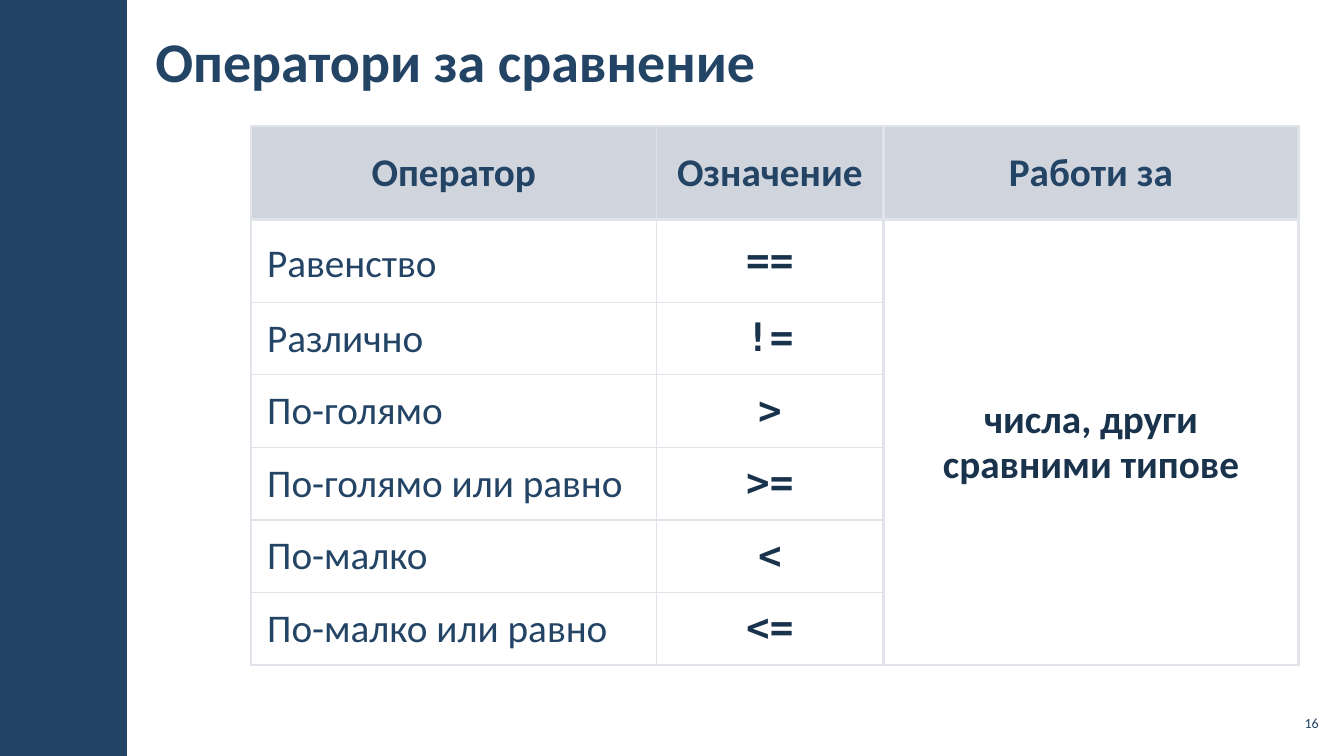
from lxml.etree import SubElement
from pptx import Presentation
from pptx.dml.color import RGBColor
from pptx.enum.shapes import MSO_SHAPE
from pptx.enum.text import MSO_ANCHOR, PP_ALIGN
from pptx.oxml import parse_xml
from pptx.oxml.ns import nsdecls, qn
from pptx.util import Inches, Pt

NAVY = RGBColor(0x23, 0x44, 0x65)
DARK = RGBColor(0x1A, 0x33, 0x4C)
GRAY = RGBColor(0xA3, 0xAB, 0xBC)
EDGE = RGBColor(0xE0, 0xE3, 0xE9)
SANS, MONO = "Calibri", "DejaVu Sans Mono"

COLS = [4.02, 2.25, 4.12]
ROWS = [0.93, 0.82] + [0.72] * 5
SIDES = [2.25, 1, 2.25, 2.25]
LEVELS = [2.25, 2.25] + [1] * 6
HEAD = ["Оператор", "Означение", "Работи за"]
SIGNS = [
    ("Равенство", "=="),
    ("Различно", "!="),
    ("По-голямо", ">"),
    ("По-голямо или равно", ">="),
    ("По-малко", "<"),
    ("По-малко или равно", "<="),
]
TYPES = "числа, други сравними типове"


def apply(target, values):
    for name, value in values.items():
        setattr(target, name, value)


def margins(side, top):
    return {
        "margin_left": Inches(side),
        "margin_right": Inches(side),
        "margin_top": Inches(top),
        "margin_bottom": Inches(top),
    }


class Page:
    base = {"name": SANS, "size": Pt(28), "bold": False}
    head = {"bold": True}
    sign = {"name": MONO, "bold": True}
    line = {"line_spacing": 0.95}
    mid = {"line_spacing": 0.95, "alignment": PP_ALIGN.CENTER}
    first = {"line_spacing": Pt(38), "space_before": Pt(6), "space_after": Pt(6)}

    def __init__(self, deck):
        self.slide = deck.slides.add_slide(deck.slide_layouts[6])
        self.shapes = self.slide.shapes

    def bar(self, box, color):
        shape = self.shapes.add_shape(MSO_SHAPE.RECTANGLE, *map(Inches, box))
        shape.shadow.inherit = False
        shape.fill.solid()
        shape.fill.fore_color.rgb = color
        shape.line.fill.background()

    def put(self, frame, text, font, para, color=NAVY):
        item = frame.paragraphs[0]
        apply(item, para)
        run = item.add_run()
        run.text = text
        apply(run.font, {**self.base, **font})
        run.font.color.rgb = color

    def label(self, box, text, font, para, inset):
        frame = self.shapes.add_textbox(*map(Inches, box)).text_frame
        apply(frame, {
            "word_wrap": True,
            "vertical_anchor": MSO_ANCHOR.MIDDLE,
            **margins(*inset),
        })
        self.put(frame, text, font, para)

    def grid(self, box):
        shape = self.shapes.add_table(len(ROWS), len(COLS), *map(Inches, box))
        table = shape.table
        apply(table, {"first_row": False, "horz_banding": False})
        for col, width in zip(table.columns, COLS):
            col.width = Inches(width)
        for row, height in zip(table.rows, ROWS):
            row.height = Inches(height)
        table.cell(1, 2).merge(table.cell(len(ROWS) - 1, 2))
        return table

    def edges(self, cell, widths):
        props = cell._tc.get_or_add_tcPr()
        for spot, (side, width) in enumerate(zip("LRTB", widths)):
            props.insert(spot, parse_xml(
                f'<a:ln{side} {nsdecls("a")} w="{Pt(width)}"><a:solidFill>'
                f'<a:srgbClr val="{EDGE}"/></a:solidFill></a:ln{side}>'
            ))

    def shade(self, cell, color):
        cell.fill.solid()
        cell.fill.fore_color.rgb = color
        tint = cell._tc.tcPr.find(".//" + qn("a:srgbClr"))
        SubElement(tint, qn("a:alpha"), val="50000")

    def frame(self, table):
        for r in range(len(ROWS)):
            for c in range(len(COLS)):
                cell = table.cell(r, c)
                apply(cell, {
                    "vertical_anchor": MSO_ANCHOR.MIDDLE,
                    **margins(0.16, 0.05),
                })
                if r == 0:
                    self.shade(cell, GRAY)
                else:
                    cell.fill.background()
                if not cell.is_spanned:
                    self.edges(cell, SIDES[c:c + 2] + LEVELS[r:r + 2])

    def table(self, box):
        table = self.grid(box)
        self.frame(table)
        for c, text in enumerate(HEAD):
            self.put(table.cell(0, c).text_frame, text, self.head, self.mid)
        for r, (name, sign) in enumerate(SIGNS, 1):
            para = self.first if r == 1 else self.line
            self.put(table.cell(r, 0).text_frame, name, {}, para)
            self.put(table.cell(r, 1).text_frame, sign, self.sign, self.mid, DARK)
        self.put(table.cell(1, 2).text_frame, TYPES, self.head, self.mid, DARK)


def main():
    deck = Presentation()
    apply(deck, {"slide_width": Inches(13.33), "slide_height": Inches(7.5)})
    page = Page(deck)
    page.bar((0, 0, 1.26, 7.5), NAVY)
    page.label((1.42, 0.11, 9.18, 0.97), "Оператори за сравнение",
               {"size": Pt(40), "bold": True}, {}, (0.12, 0.04))
    page.label((12.65, 7, 0.47, 0.34), "16", {"size": Pt(10)},
               {"alignment": PP_ALIGN.RIGHT}, (0.04, 0.04))
    page.table((2.49, 1.25, sum(COLS), sum(ROWS)))
    deck.save("out.pptx")


if __name__ == "__main__":
    main()
